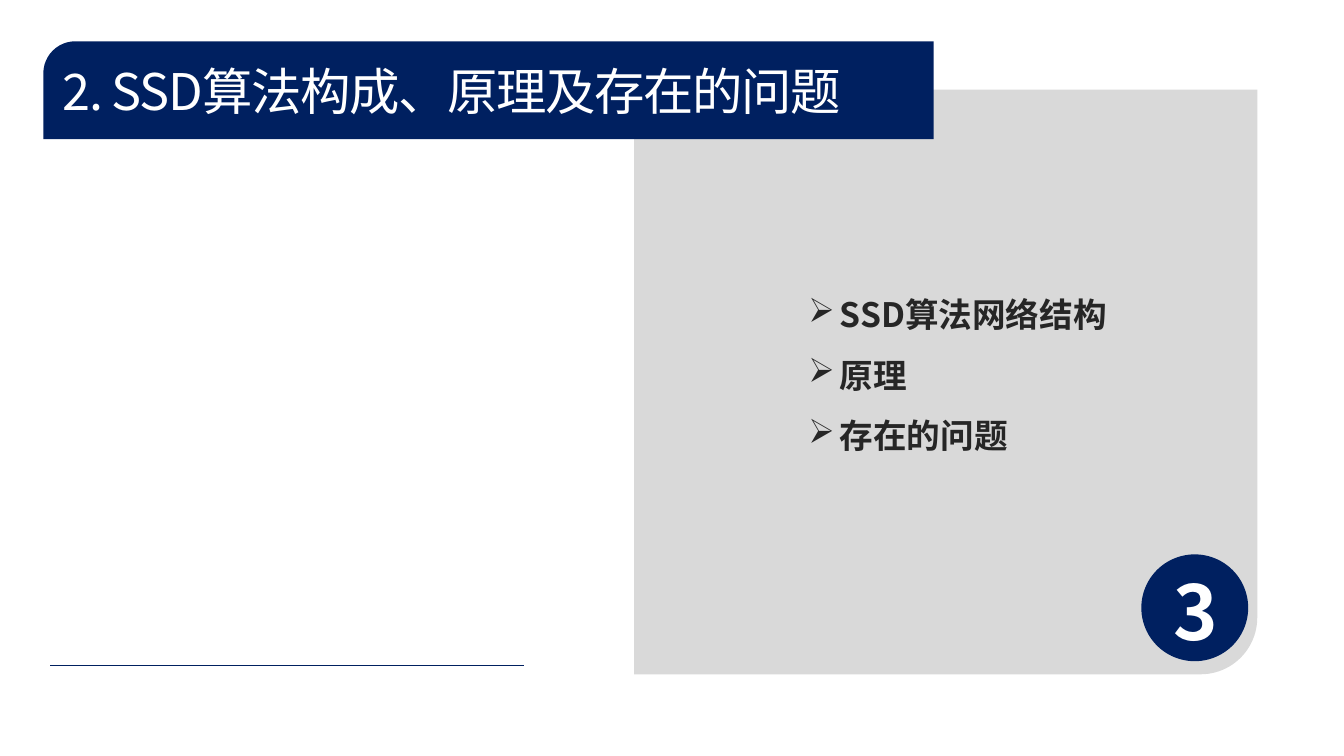
from lxml import etree
from pptx import Presentation
from pptx import util as u
from pptx.dml.color import RGBColor
from pptx.enum import shapes, text
from pptx.oxml.ns import qn

TITLE = "2. SSD算法构成、原理及存在的问题"
TOPICS = ["SSD算法网络结构", "原理", "存在的问题"]
NUMBER = "3"
BULLET = "➢"
FONT = "Noto Sans CJK SC"
COLORS = {"navy": "002060", "grey": "D9D9D9", "white": "FFFFFF", "ink": "262626"}
FORMATS = {
    "title": {"size": u.Pt(36), "bold": False, "color": "white"},
    "number": {"size": u.Pt(54), "bold": True, "color": "white"},
    "topic": {"size": u.Pt(24), "bold": True, "color": "ink"},
}
SLIDE = (13.33, 7.5)
# left, top, width, height in inches
BANNER = (0.43, 0.41, 8.83, 0.97)
PANEL = (6.29, 0.89, 6.18, 5.8)
BADGE = (11.32, 5.5, 1.06, 1.06)
NUMBER_BOX = (11.54, 5.56, 1.15, 1.01)
TOPIC_BOX = (7.92, 2.67, 3.75, 1.85)
RULE_LEFT, RULE_RIGHT, RULE_Y = 0.5, 5.2, 6.6
TITLE_INSET = 0.09
TOPIC_INDENT = u.Inches(0.31)


def inches(box):
    return [u.Inches(value) for value in box]


def rgb(name):
    return RGBColor.from_string(COLORS[name])


def add_block(parent, kind, box, color, flip=None, corner=None):
    block = parent.add_shape(kind, *inches(box))
    block.shadow.inherit = False
    block.fill.solid()
    block.fill.fore_color.rgb = rgb(color)
    block.line.fill.background()
    if corner is not None:
        block.adjustments[0] = corner
    if flip:
        block.element.spPr.find(qn("a:xfrm")).set(flip, "1")
    return block


def write(paragraph, words, style):
    """Add a run with the style's font, also for East Asian characters."""
    run = paragraph.add_run()
    run.text = words
    run.font.color.rgb = rgb(FORMATS[style]["color"])
    for key in ("size", "bold"):
        setattr(run.font, key, FORMATS[style][key])
    run.font.name = FONT
    properties = run.font._element
    etree.SubElement(properties, qn("a:ea")).set("typeface", FONT)
    return properties


def add_text_box(parent, box):
    frame = parent.add_textbox(*inches(box)).text_frame
    frame.word_wrap = True
    return frame


def place_title(slide):
    title = slide.shapes.title
    left, top, width, height = BANNER
    title.left, title.top, title.width, title.height = inches(
        (left + TITLE_INSET, top, width - TITLE_INSET, height))
    frame = title.text_frame
    frame.auto_size = text.MSO_AUTO_SIZE.NONE
    frame.vertical_anchor = text.MSO_ANCHOR.MIDDLE
    heading = frame.paragraphs[0]
    heading.alignment = text.PP_ALIGN.LEFT
    write(heading, TITLE, "title").set("spc", "-100")
    slide.shapes._spTree.append(title.element)  # in front of the banner


def add_badge(slide):
    badge = slide.shapes.add_group_shape().shapes
    add_block(badge, shapes.MSO_SHAPE.OVAL, BADGE, "navy")
    write(add_text_box(badge, NUMBER_BOX).paragraphs[0], NUMBER, "number")


def add_rule(slide):
    rule = slide.shapes.add_connector(
        shapes.MSO_CONNECTOR.STRAIGHT,
        *inches((RULE_LEFT, RULE_Y, RULE_RIGHT, RULE_Y)))
    rule.line.color.rgb = rgb("navy")
    rule.line.width = u.Pt(0.5)
    etree.SubElement(rule.element.spPr, qn("a:effectLst"))


def add_topics(slide):
    frame = add_text_box(slide.shapes, TOPIC_BOX)
    for index, topic in enumerate(TOPICS):
        paragraph = frame.add_paragraph() if index else frame.paragraphs[0]
        paragraph.line_spacing = 1.5
        properties = paragraph._p.get_or_add_pPr()
        properties.set("marL", str(TOPIC_INDENT))
        properties.set("indent", str(-TOPIC_INDENT))
        etree.SubElement(properties, qn("a:buChar")).set("char", BULLET)
        write(paragraph, topic, "topic")


def main():
    deck = Presentation()
    deck.slide_width, deck.slide_height = inches(SLIDE)
    slide = deck.slides.add_slide(deck.slide_layouts[5])
    slide.background.fill.solid()
    slide.background.fill.fore_color.rgb = rgb("white")
    corner = shapes.MSO_SHAPE.ROUND_1_RECTANGLE
    add_block(slide.shapes, corner, PANEL, "grey", "flipV", 0.097)
    add_block(slide.shapes, corner, BANNER, "navy", "flipH", 0.328)
    place_title(slide)
    add_badge(slide)
    add_rule(slide)
    add_topics(slide)
    deck.save("out.pptx")


if __name__ == "__main__":
    main()
